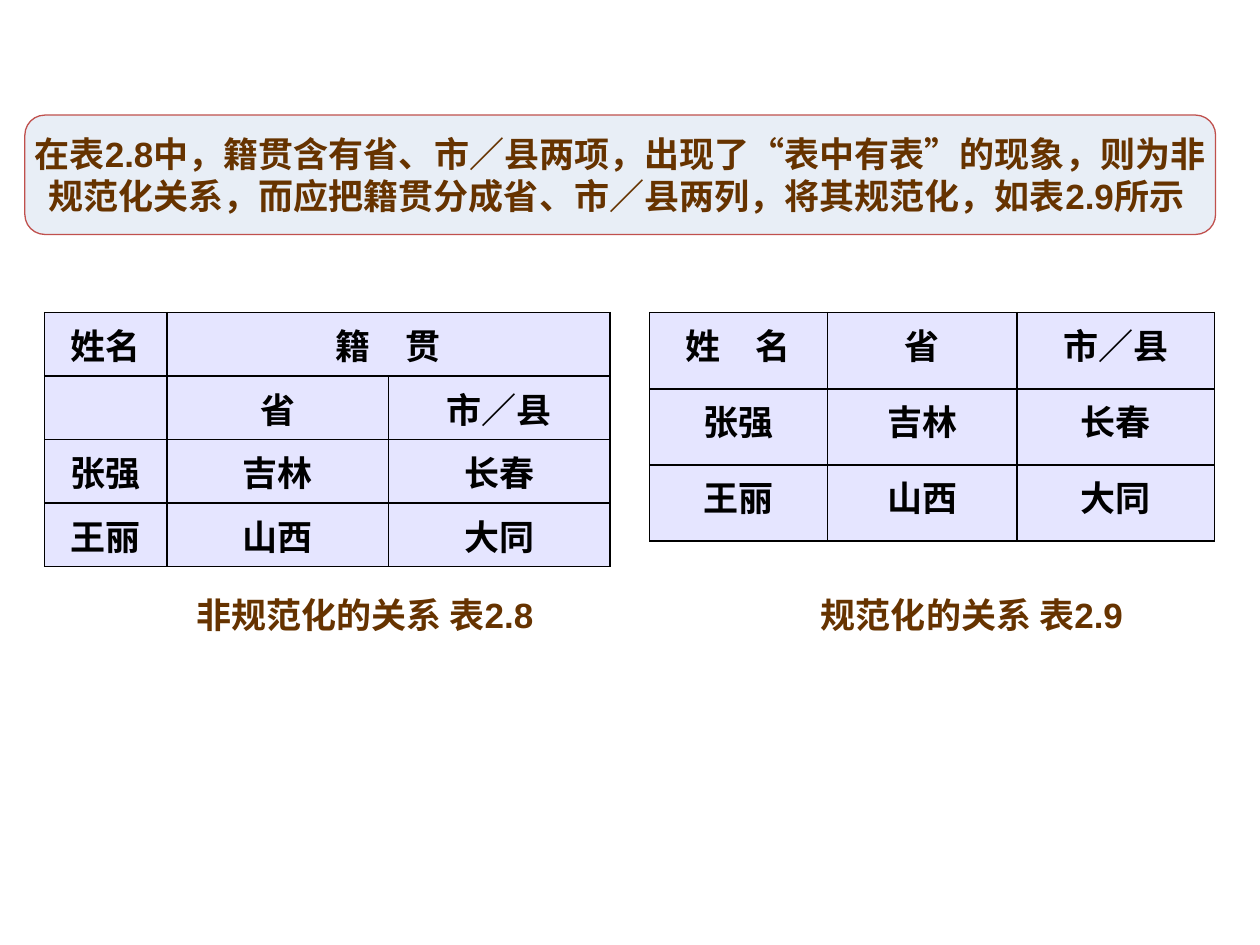
from dataclasses import dataclass

from lxml.etree import SubElement
from pptx import Presentation
from pptx.dml.color import RGBColor as RGB
from pptx.enum.shapes import MSO_SHAPE as SHAPE
from pptx.enum.text import MSO_ANCHOR as ANCHOR, PP_ALIGN as ALIGN
from pptx.oxml.ns import qn
from pptx.util import Pt


@dataclass(frozen=True)
class Theme:
    cell: str = "CCCCFF"
    grid: str = "000000"
    banner: str = "DCE6F2"
    outline: str = "C0504D"
    brown: str = "663300"
    cell_alpha: int = 50
    banner_alpha: int = 65
    size: int = 20
    text_font: str = "Arial"
    table_font: str = "Times New Roman"
    edge: float = 0.75
    rule: float = 1


class SlideBuilder:
    def __init__(self, slide, theme):
        self.s = slide
        self.theme = theme

    def style(self, p, name, color, align):
        p.alignment = align
        p.font.name = name
        p.font.size = Pt(self.theme.size)
        p.font.bold = True
        p.font.color.rgb = RGB.from_string(color)

    def fill(self, target, color, alpha, xml):
        target.fill.solid()
        target.fill.fore_color.rgb = RGB.from_string(color)
        clr = xml.find(qn("a:solidFill")).find(qn("a:srgbClr"))
        SubElement(clr, qn("a:alpha"), val=str(alpha * 1000))

    def set_text(self, tf, lines, align):
        tf.text = "\n".join(lines)
        for p in tf.paragraphs:
            self.style(p, self.theme.text_font, self.theme.brown, align)

    def banner(self, x, y, w, h, lines):
        t = self.theme
        sp = self.s.shapes.add_shape(
            SHAPE.FLOWCHART_ALTERNATE_PROCESS, Pt(x), Pt(y), Pt(w), Pt(h))
        sp.shadow.inherit = False
        self.fill(sp, t.banner, t.banner_alpha, sp.element.spPr)
        sp.line.color.rgb = RGB.from_string(t.outline)
        sp.line.width = Pt(t.edge)
        tf = sp.text_frame
        tf.word_wrap = False
        tf.vertical_anchor = ANCHOR.MIDDLE
        self.set_text(tf, lines, ALIGN.CENTER)

    def caption(self, x, y, w, h, text):
        sp = self.s.shapes.add_textbox(Pt(x), Pt(y), Pt(w), Pt(h))
        sp.text_frame.word_wrap = True
        self.set_text(sp.text_frame, [text], ALIGN.LEFT)

    def borders(self, cell, first, last):
        t = self.theme
        tcPr = cell._tc.get_or_add_tcPr()
        widths = {"a:lnL": t.edge if first else t.rule,
                  "a:lnR": t.edge if last else t.rule,
                  "a:lnT": t.rule, "a:lnB": t.rule}
        for tag, width in widths.items():
            ln = SubElement(tcPr, qn(tag), w=str(Pt(width)))
            fill = SubElement(ln, qn("a:solidFill"))
            SubElement(fill, qn("a:srgbClr"), val=t.grid)

    def table(self, x, y, widths, height, rows):
        t = self.theme
        n = len(widths)
        table = self.s.shapes.add_table(
            len(rows), n, Pt(x), Pt(y), Pt(sum(widths)),
            Pt(height * len(rows))).table
        table.first_row = table.horz_banding = False
        for column, width in zip(table.columns, widths):
            column.width = Pt(width)
        for r, values in enumerate(rows):
            table.rows[r].height = Pt(height)
            for c, value in enumerate(values):
                cell = table.cell(r, c)
                self.borders(cell, c == 0, c == n - 1)
                self.fill(cell, t.cell, t.cell_alpha, cell._tc.tcPr)
                cell.text = value
                self.style(cell.text_frame.paragraphs[0],
                           t.table_font, t.grid, ALIGN.CENTER)
        return table


def main():
    prs = Presentation()
    prs.slide_width, prs.slide_height = Pt(720), Pt(540)
    b = SlideBuilder(prs.slides.add_slide(prs.slide_layouts[6]), Theme())

    people = [["张强", "吉林", "长春"], ["王丽", "山西", "大同"]]
    table_top, caption_top = 178.7, 335.5

    nested = b.table(25.4, table_top, [70, 126.6, 126.6], 36.2,
                     [["姓名", "籍　贯", ""], ["", "省", "市／县"], *people])
    nested.cell(0, 1).merge(nested.cell(0, 2))
    nested.cell(0, 0).vertical_anchor = ANCHOR.MIDDLE
    b.table(371.2, table_top, [101.6, 108.3, 113], 43.5,
            [["姓　名", "省", "市／县"], *people])

    b.caption(105, caption_top, 214.5, 31, "非规范化的关系 表2.8")
    b.caption(462, caption_top, 188.6, 31, "规范化的关系 表2.9")
    b.banner(14.2, 65.8, 680.4, 68.2, [
        "在表2.8中，籍贯含有省、市／县两项，出现了“表中有表”的现象，则为非",
        "规范化关系，而应把籍贯分成省、市／县两列，将其规范化，如表2.9所示 "])
    prs.save("out.pptx")


if __name__ == "__main__":
    main()
